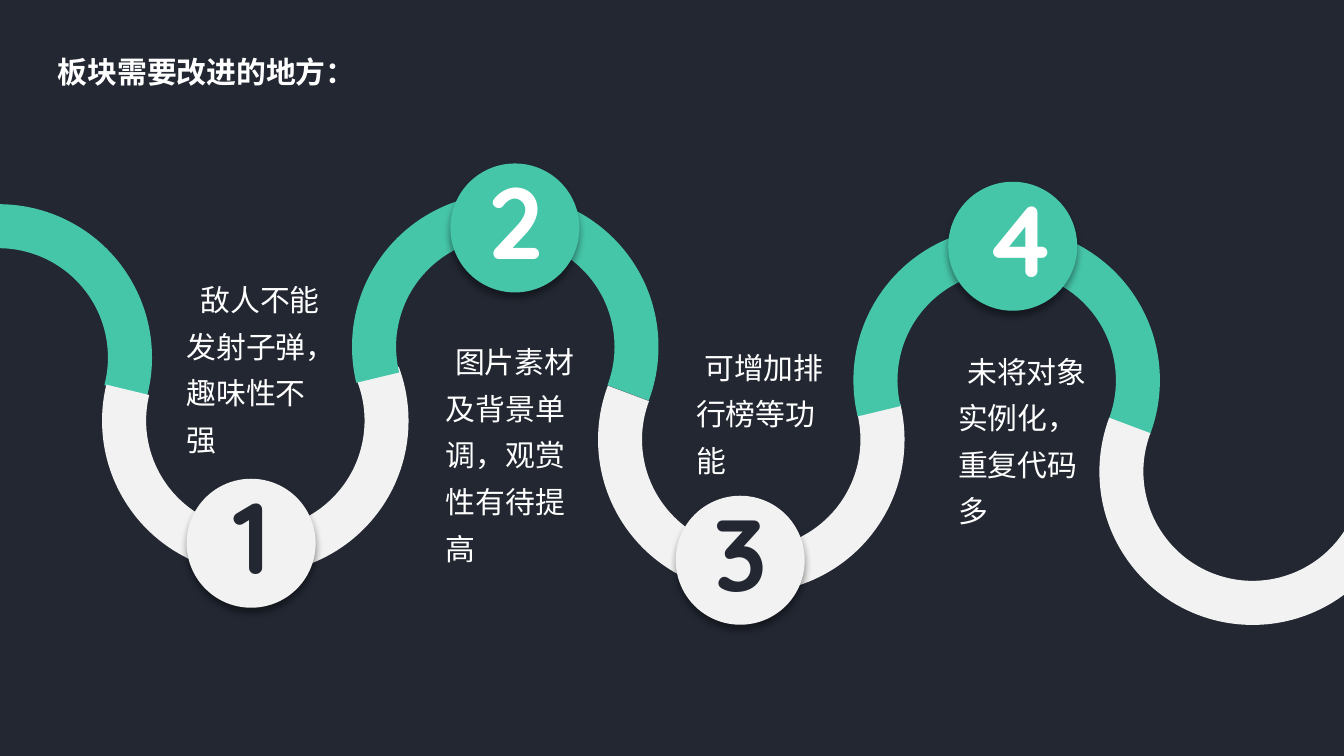
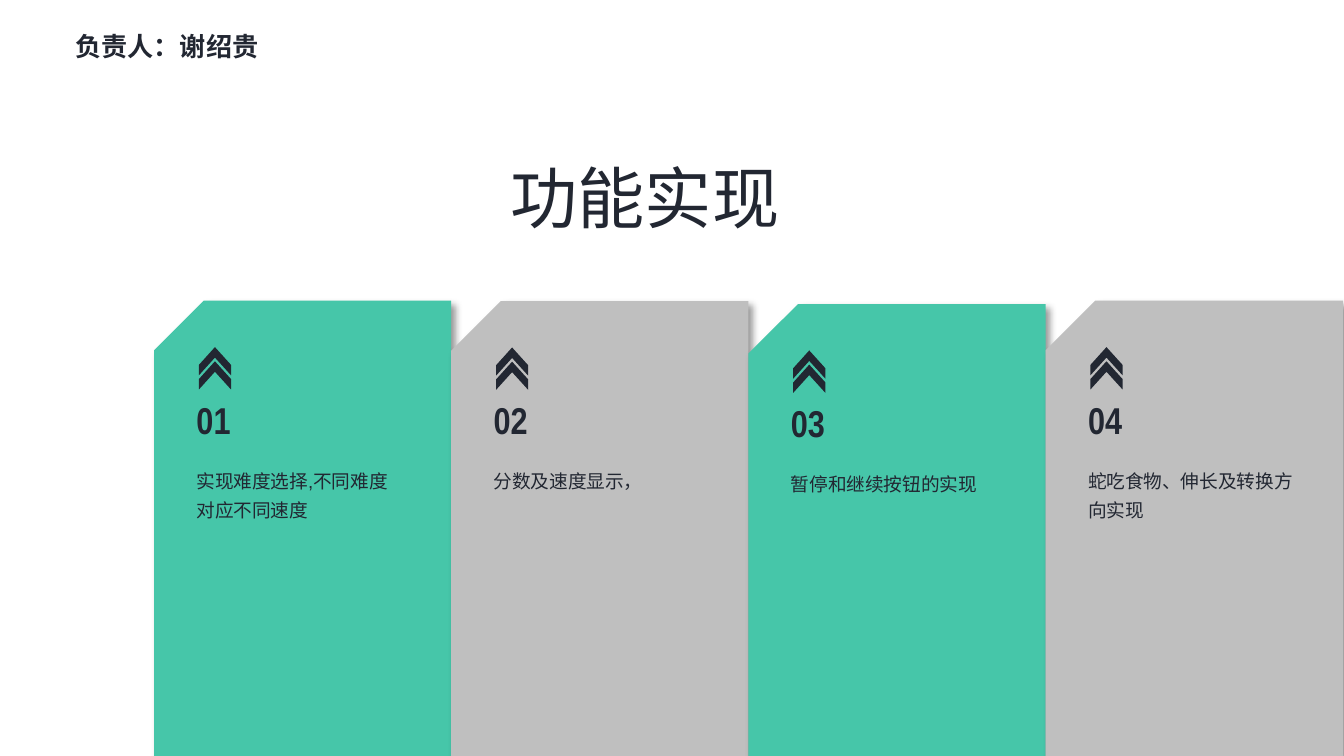
from dataclasses import dataclass

import lxml.etree
import pptx
import pptx.dml.color
import pptx.enum.lang
import pptx.enum.shapes
import pptx.enum.text
import pptx.oxml.ns
import pptx.util

Pt = pptx.util.Pt
Shapes = pptx.enum.shapes.MSO_SHAPE
Align = pptx.enum.text.PP_ALIGN
Anchor = pptx.enum.text.MSO_ANCHOR
qn = pptx.oxml.ns.qn


@dataclass(frozen=True)
class Theme:
    dark: str = "222732"
    white: str = "FFFFFF"
    green: str = "46C6A9"
    pale: str = "F2F2F2"
    gray: str = "BFBFBF"
    chinese: str = "Noto Sans CJK SC"
    rounded: str = "Quicksand"
    plain: str = "Arial"
    narrow: str = "Arial Narrow"
    step_number: int = 54
    headline: int = 36
    card_number: int = 20
    step_text: int = 16
    card_text: int = 10


THEME = Theme()
SLIDE_SIZE = (720, 405)

ROAD_TITLE = dict(text="板块需要改进的地方：", frame=(23.8, 23.8, 178.6, 27.4), size=16)
CARDS_TITLE = dict(text="负责人：谢绍贵", frame=(33.1, 11.5, 178.6, 24.5), size=14)
HEADLINE = ("功能实现", (266.4, 67, 403.9, 58.3))

# left, top, rotation, flip, start angle, end angle, colour
ARC_SIZE, ARC_THICKNESS = 164.2, 23.6
BEND = (73.3, 287.5)
ROAD = [
    (-82.8, 109.4, 90, None, 180, 284.7, THEME.green),
    (54.7, 143.3, 266.1, None, *BEND, THEME.pale),
    (188.6, 103.7, 93.9, "flipV", *BEND, THEME.green),
    (320.4, 153.4, 93.9, "flipH", *BEND, THEME.pale),
    (457.2, 121.7, 93.9, "flipV", *BEND, THEME.green),
    (589, 170.6, 93.9, "flipH", *BEND, THEME.pale),
]

# circle position, circle colour, number colour, text, text frame, first-line indent
CIRCLE_SIZE = 69.1
STEPS = [
    ((100, 256.5), THEME.pale, THEME.dark, "敌人不能发射子弹，趣味性不强",
     (92.9, 141.8, 90, 105.8), 7.5),
    ((241.3, 87.6), THEME.green, THEME.white, "图片素材及背景单调，观赏性有待提高",
     (231.8, 175, 90.7, 131), 5),
    ((362, 265.6), THEME.pale, THEME.dark, "可增加排行榜等功能",
     (365.8, 177.8, 92.9, 80.6), 4.5),
    ((508, 97.4), THEME.green, THEME.white, "未将对象实例化，重复代码多",
     (506.2, 180, 84.2, 105.8), 5),
]

# text, top, colour, text width, text height
CARD_LEFT, CARD_WIDTH, CARD_HEIGHT = 82.6, 159.2, 244
CARDS = [
    ("实现难度选择,不同难度对应不同速度", 161.1, THEME.green, 123.1, 37.4),
    ("分数及速度显示，", 161.3, THEME.gray, 129.6, 21.6),
    ("暂停和继续按钮的实现", 162.9, THEME.green, 129.6, 21.6),
    ("蛇吃食物、伸长及转换方向实现", 161.1, THEME.gray, 129.6, 37.4),
]


def rgb(color):
    return pptx.dml.color.RGBColor.from_string(color)


def write_text(shape, text, *, size, font, color, bold=False, align=Align.LEFT,
               anchor=Anchor.TOP, spacing=1.3, indent=0, wrap=True):
    frame = shape.text_frame
    frame.word_wrap = wrap
    frame.auto_size = pptx.enum.text.MSO_AUTO_SIZE.SHAPE_TO_FIT_TEXT
    frame.vertical_anchor = anchor
    paragraph = frame.paragraphs[0]
    paragraph.alignment = align
    paragraph.line_spacing = spacing
    if indent:
        properties = paragraph._p.get_or_add_pPr()
        properties.set("marL", "0")
        properties.set("indent", str(int(Pt(indent))))
    run = paragraph.add_run()
    run.text = text
    run.font.size = Pt(size)
    run.font.bold = bold
    run.font.name = font
    run.font.color.rgb = rgb(color)
    run.font.language_id = pptx.enum.lang.MSO_LANGUAGE_ID.SIMPLIFIED_CHINESE
    east_asian = lxml.etree.SubElement(run._r.get_or_add_rPr(), qn("a:ea"))
    east_asian.set("typeface", THEME.chinese)


def add_text(slide, text, frame, **text_format):
    box = slide.shapes.add_textbox(*map(Pt, frame))
    write_text(box, text, **text_format)


def add_filled(slide, kind, frame, color, rotation=0, flip=None, adjustments=()):
    shape = slide.shapes.add_shape(kind, *map(Pt, frame))
    shape.shadow.inherit = False
    shape.fill.solid()
    shape.fill.fore_color.rgb = rgb(color)
    shape.line.fill.background()
    shape.rotation = rotation
    if flip:
        shape.element.spPr.get_or_add_xfrm().set(flip, "1")
    for index, value in enumerate(adjustments):
        shape.adjustments[index] = value
    return shape


def add_shadow(shape, degrees):
    effects = shape.element.spPr.find(qn("a:effectLst"))
    shadow = lxml.etree.SubElement(
        effects, qn("a:outerShdw"), blurRad=str(int(Pt(4))), dist=str(int(Pt(3))),
        dir=str(degrees * 60000), algn="ctr", rotWithShape="0")
    color = lxml.etree.SubElement(shadow, qn("a:srgbClr"), val="000000")
    lxml.etree.SubElement(color, qn("a:alpha"), val="40000")


def add_slide(presentation, title, background, title_color):
    slide = presentation.slides.add_slide(presentation.slide_layouts[5])
    slide.background.fill.solid()
    slide.background.fill.fore_color.rgb = rgb(background)
    shape = slide.shapes.title
    shape.left, shape.top, shape.width, shape.height = map(Pt, title["frame"])
    write_text(shape, title["text"], size=title["size"], font=THEME.chinese,
               color=title_color, bold=True, anchor=Anchor.MIDDLE, spacing=1.1)
    return slide


def build_road(presentation):
    slide = add_slide(presentation, ROAD_TITLE, THEME.dark, THEME.white)
    for left, top, rotation, flip, start, end, color in ROAD:
        # Adjustments count in 100000ths, angles in 60000ths of a degree.
        add_filled(slide, Shapes.BLOCK_ARC, (left, top, ARC_SIZE, ARC_SIZE), color,
                   rotation, flip, (start * 0.6, end * 0.6, ARC_THICKNESS / ARC_SIZE))
    for number, step in enumerate(STEPS, 1):
        (left, top), fill, number_color, text, frame, indent = step
        circle = add_filled(slide, Shapes.OVAL, (left, top, CIRCLE_SIZE, CIRCLE_SIZE), fill)
        add_shadow(circle, 90)
        add_text(slide, text, frame, size=THEME.step_text, font=THEME.rounded,
                 color=THEME.white, indent=indent)
        add_text(slide, str(number), (left + 12.2, top + 1, 45.4, 67),
                 size=THEME.step_number, font=THEME.rounded, color=number_color,
                 bold=True, align=Align.CENTER, spacing=0.9, wrap=False)


def build_cards(presentation):
    slide = add_slide(presentation, CARDS_TITLE, THEME.white, THEME.dark)
    for index, (text, top, color, text_width, text_height) in enumerate(CARDS):
        left = CARD_LEFT + index * CARD_WIDTH
        text_left = left + 15.6
        card = add_filled(slide, Shapes.SNIP_1_RECTANGLE,
                          (left, top, CARD_WIDTH, CARD_HEIGHT), color, flip="flipH")
        add_shadow(card, 45)
        add_text(slide, f"{index + 1:02}", (text_left, top + 56.9, 36, 23.8),
                 size=THEME.card_number, font=THEME.narrow, color=THEME.dark,
                 bold=True, spacing=Pt(15))
        for chevron_top in (top + 31.4, top + 23.8):
            add_filled(slide, Shapes.CHEVRON, (text_left + 9.4, chevron_top, 15.1, 17.2),
                       THEME.dark, rotation=270, adjustments=(0.63,))
        add_text(slide, text, (text_left, top + 83.5, text_width, text_height),
                 size=THEME.card_text, font=THEME.plain, color=THEME.dark)
    add_text(slide, *HEADLINE, size=THEME.headline, font=THEME.plain, color=THEME.dark)


def main():
    presentation = pptx.Presentation()
    presentation.slide_width, presentation.slide_height = map(Pt, SLIDE_SIZE)
    build_road(presentation)
    build_cards(presentation)
    presentation.save("out.pptx")


if __name__ == "__main__":
    main()
